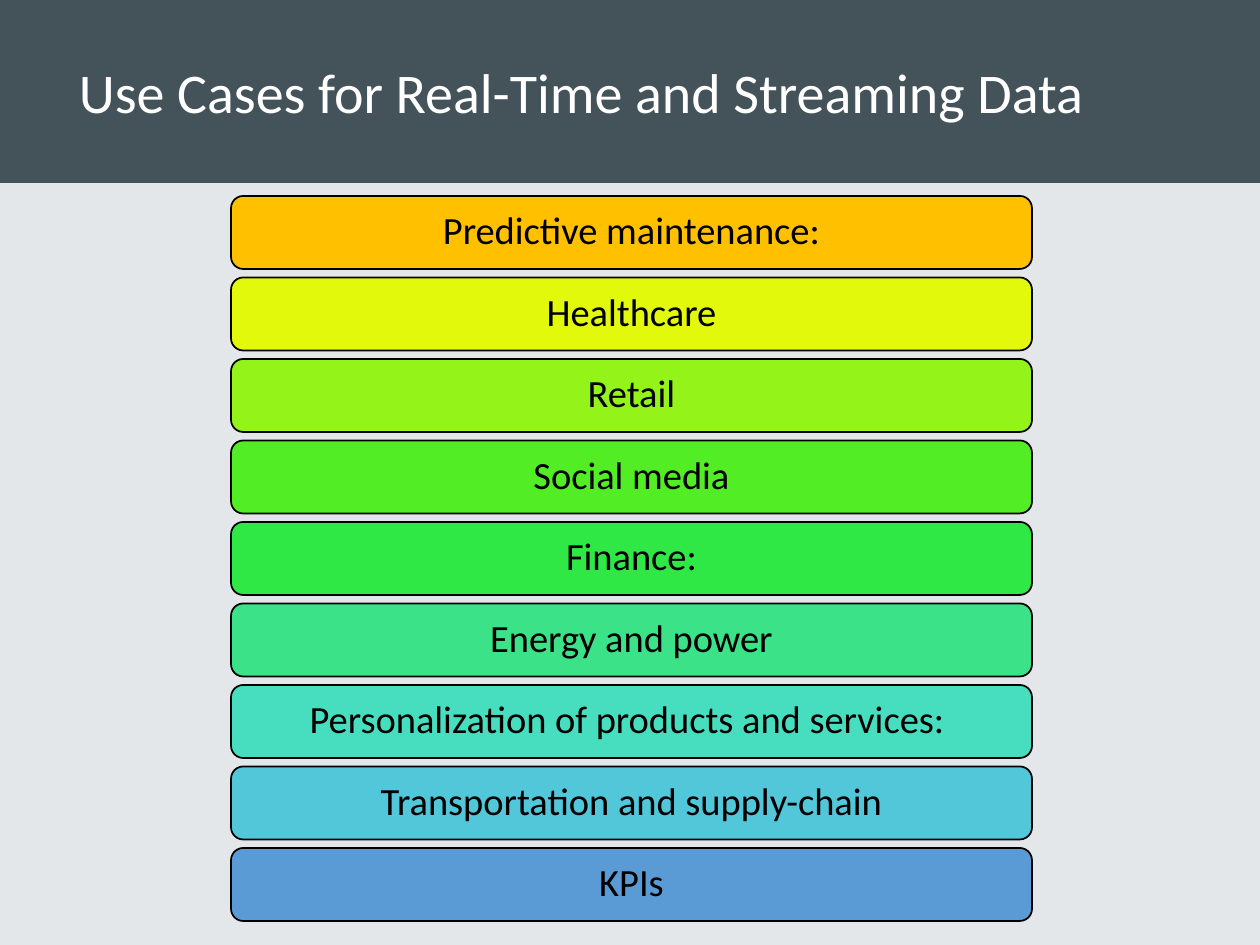
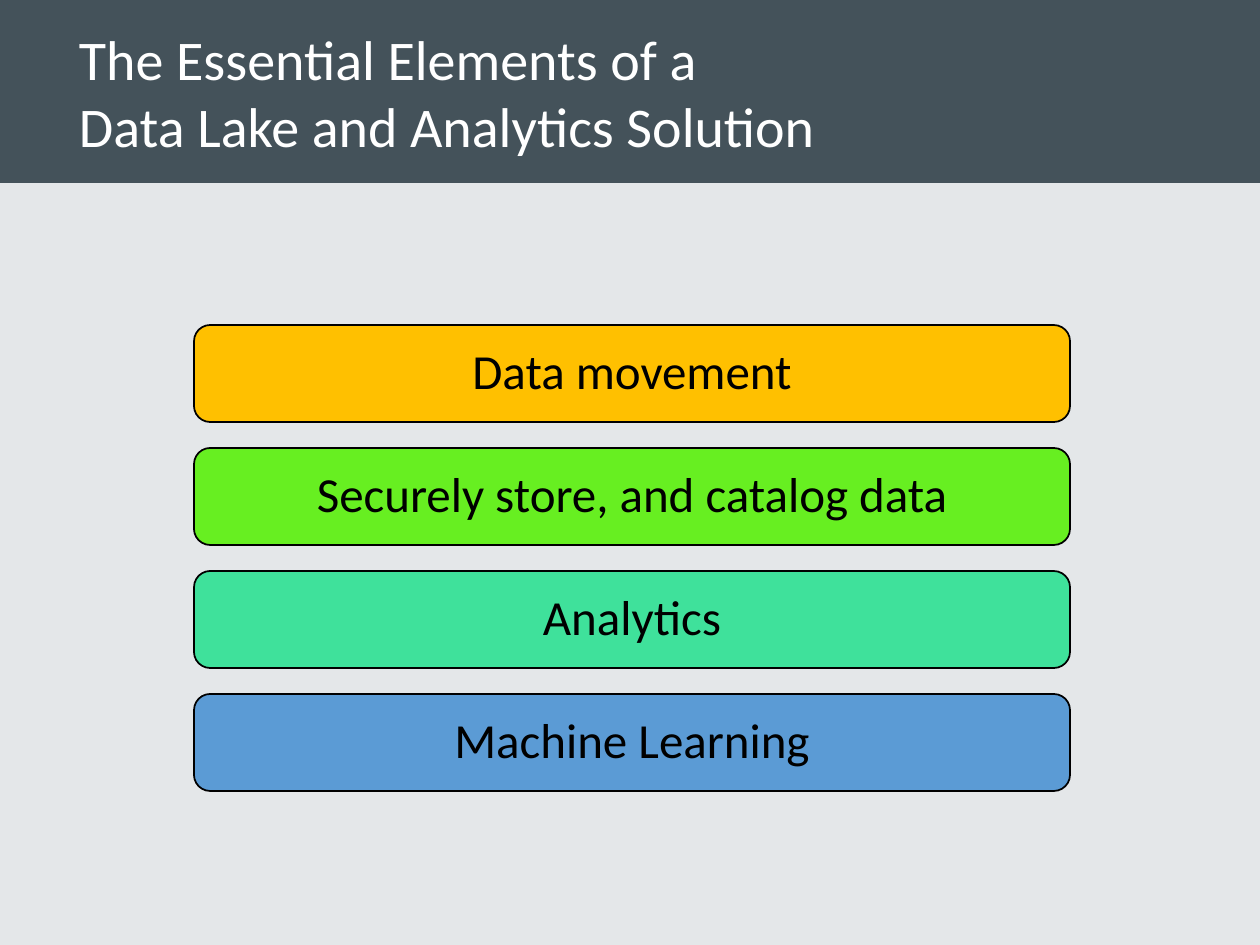
from dataclasses import dataclass

from pptx import Presentation
from pptx.dml.color import RGBColor
from pptx.enum.shapes import MSO_SHAPE
from pptx.enum.text import MSO_ANCHOR, PP_ALIGN
from pptx.shapes.autoshape import Shape
from pptx.slide import Slide
from pptx.util import Pt

EMU_PER_PX = 914400 / 126
SLIDE_WIDTH, SLIDE_HEIGHT = 1260, 945
BAND_HEIGHT = 183
TITLE_LEFT = 66


@dataclass(frozen=True)
class Theme:
    font: str = "Calibri"
    background: str = "E4E7E9"
    band: str = "44525A"
    title: str = "FFFFFF"
    ink: str = "000000"
    title_size: int = 32
    outline_width: int = 1


@dataclass(frozen=True)
class Topic:
    label: str
    fill: str


@dataclass(frozen=True)
class TopicStack:
    left: int
    width: int
    first_top: int
    last_top: int
    bar_height: int
    inset: int
    text_size: int
    topics: tuple[Topic, ...]


THEME = Theme()

USE_CASES = TopicStack(
    left=231, width=801, first_top=196, last_top=848, bar_height=73,
    inset=15, text_size=22,
    topics=(
        Topic("Predictive maintenance:", "FFC000"),
        Topic("Healthcare", "E3F90C"),
        Topic("Retail", "94F319"),
        Topic("Social media", "52ED24"),
        Topic("Finance:", "30E845"),
        Topic("Energy and power", "3BE287"),
        Topic("Personalization of products and services: ", "46DEBF"),
        Topic("Transportation and supply-chain", "51C7D9"),
        Topic("KPIs", "5B9BD5"),
    ),
)

ESSENTIAL_ELEMENTS = TopicStack(
    left=194, width=876, first_top=325, last_top=694, bar_height=97,
    inset=20, text_size=28,
    topics=(
        Topic("Data movement", "FFC000"),
        Topic("Securely store, and catalog data", "67EF21"),
        Topic("Analytics", "3FE19B"),
        Topic("Machine Learning", "5B9BD5"),
    ),
)


def px(length: float) -> int:
    return round(length * EMU_PER_PX)


def rgb(code: str) -> RGBColor:
    return RGBColor.from_string(code)


def write(holder: Shape, text: str, *, size: int, color: str,
          align: PP_ALIGN = PP_ALIGN.LEFT, line_spacing: float = 1.0,
          inset: int = 13) -> None:
    """Fill a shape with one vertically centred paragraph."""
    frame = holder.text_frame
    frame.word_wrap = True
    frame.vertical_anchor = MSO_ANCHOR.MIDDLE
    frame.margin_left = frame.margin_right = px(inset)
    frame.margin_top = frame.margin_bottom = 0
    paragraph = frame.paragraphs[0]
    paragraph.text = text
    paragraph.alignment = align
    paragraph.line_spacing = line_spacing
    for run in paragraph.runs:
        run.font.name = THEME.font
        run.font.size = Pt(size)
        run.font.color.rgb = rgb(color)


def add_block(slide: Slide, kind: MSO_SHAPE, left: float, top: float,
              width: float, height: float, fill: str) -> Shape:
    block = slide.shapes.add_shape(kind, px(left), px(top), px(width), px(height))
    block.shadow.inherit = False
    block.fill.solid()
    block.fill.fore_color.rgb = rgb(fill)
    block.line.fill.background()
    return block


def add_titled_slide(deck: Presentation, title: str) -> Slide:
    slide = deck.slides.add_slide(deck.slide_layouts[6])
    slide.background.fill.solid()
    slide.background.fill.fore_color.rgb = rgb(THEME.background)

    # Title band
    add_block(slide, MSO_SHAPE.RECTANGLE, 0, 0, SLIDE_WIDTH, BAND_HEIGHT, THEME.band)
    heading = slide.shapes.add_textbox(
        px(TITLE_LEFT), 0, px(SLIDE_WIDTH - TITLE_LEFT), px(BAND_HEIGHT))
    write(heading, title, size=THEME.title_size, color=THEME.title)
    return slide


def add_stack(slide: Slide, stack: TopicStack) -> None:
    pitch = (stack.last_top - stack.first_top) / (len(stack.topics) - 1)
    for row, topic in enumerate(stack.topics):
        bar = add_block(slide, MSO_SHAPE.ROUNDED_RECTANGLE, stack.left,
                        stack.first_top + row * pitch, stack.width,
                        stack.bar_height, topic.fill)
        bar.line.color.rgb = rgb(THEME.ink)
        bar.line.width = Pt(THEME.outline_width)
        write(bar, topic.label, size=stack.text_size, color=THEME.ink,
              align=PP_ALIGN.CENTER, line_spacing=0.9, inset=stack.inset)


def main() -> None:
    deck = Presentation()
    deck.slide_width, deck.slide_height = px(SLIDE_WIDTH), px(SLIDE_HEIGHT)

    # Slide 1: use cases
    use_cases = add_titled_slide(deck, "Use Cases for Real-Time and Streaming Data")
    add_stack(use_cases, USE_CASES)

    # Slide 2: elements of the solution
    elements = add_titled_slide(
        deck, "The Essential Elements of a\nData Lake and Analytics Solution")
    add_stack(elements, ESSENTIAL_ELEMENTS)

    deck.save("out.pptx")


if __name__ == "__main__":
    main()
